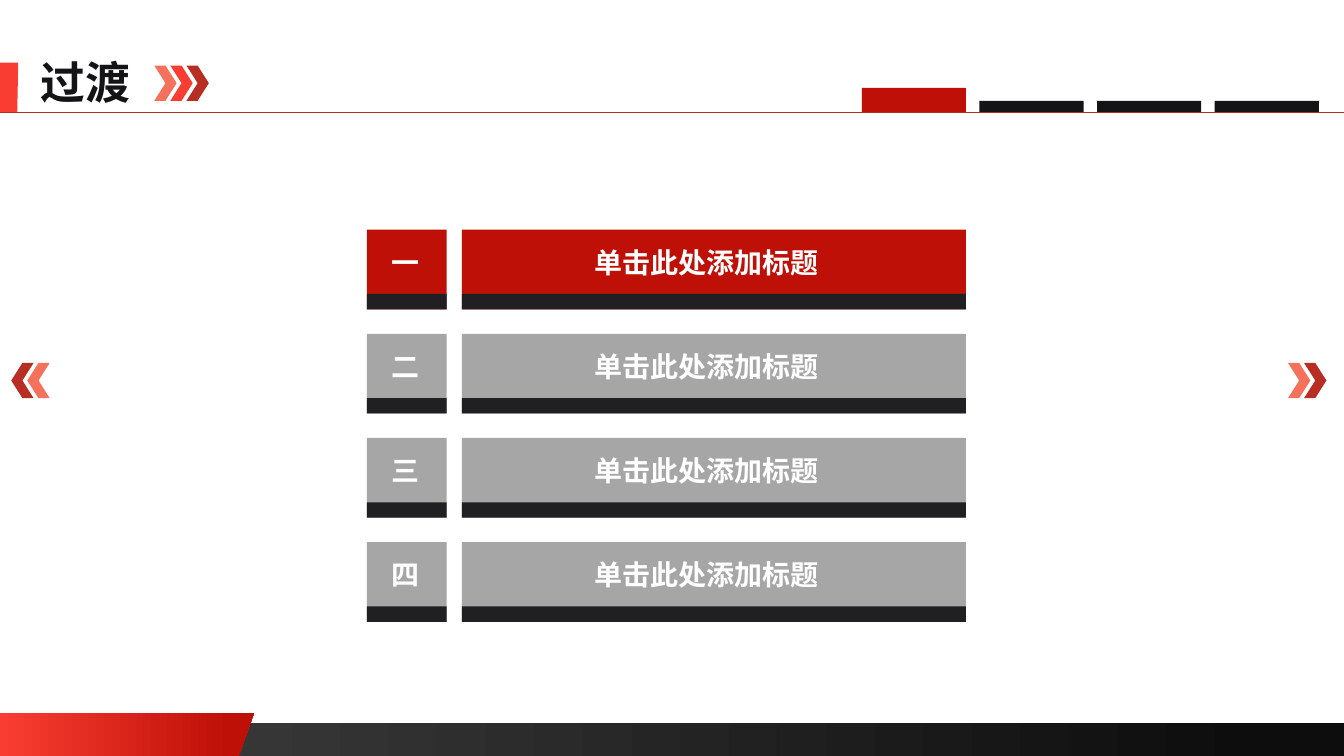
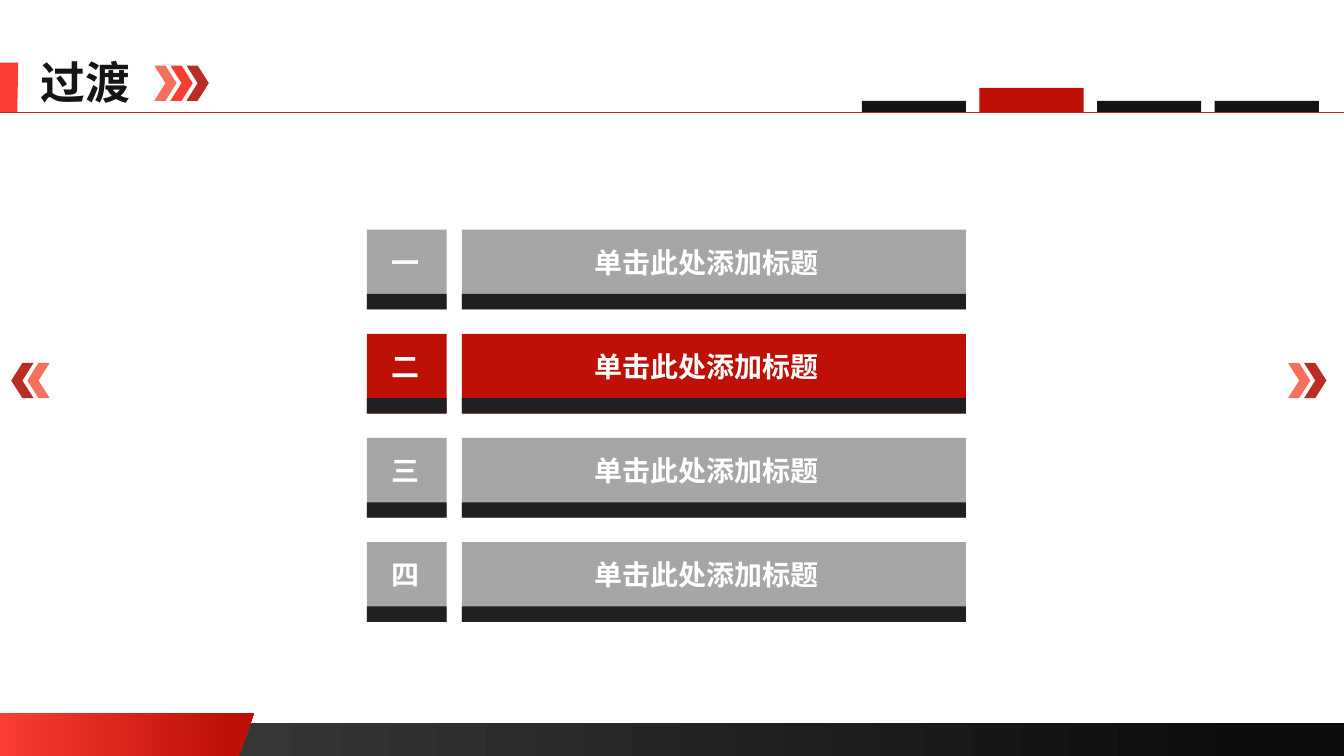
"""Build two agenda transition slides, each highlighting its own section."""
from lxml import etree
from pptx import Presentation
from pptx.dml.color import RGBColor
from pptx.enum.shapes import MSO_CONNECTOR, MSO_SHAPE
from pptx.enum.text import MSO_ANCHOR, PP_ALIGN
from pptx.oxml.ns import qn
from pptx.util import Pt

RECTANGLE, CHEVRON = MSO_SHAPE.RECTANGLE, MSO_SHAPE.CHEVRON
STRAIGHT = MSO_CONNECTOR.STRAIGHT
MIDDLE = MSO_ANCHOR.MIDDLE
LEFT, CENTER = PP_ALIGN.LEFT, PP_ALIGN.CENTER

TITLE = "过渡"
SECTIONS = [
    ("一", "单击此处添加标题"),
    ("二", "单击此处添加标题"),
    ("三", "单击此处添加标题"),
    ("四", "单击此处添加标题"),
]
ACTIVE_SECTIONS = [0, 1]

FONT = "Noto Sans CJK SC"
COLORS = {
    "coral": "F5715B", "bright": "F93D32", "deep": "B82E24", "active": "BE1007",
    "ink": "141316", "base": "202022", "idle": "A6A6A6", "white": "FFFFFF",
    "band_start": "404040", "band_end": "0D0D0D",
}
TITLE_STYLE = {"size": Pt(32), "bold": True, "name": FONT}
CARD_STYLE = {"size": Pt(20), "bold": True, "name": FONT}

WIDTH, HEIGHT = 960, 540
TITLE_BOX = (28.8, 35.3, 76, 46)
RULE_Y = 80
BAND_TOP = 516.5
BAND_STOPS = [(0, "band_start"), (0.94, "band_end")]
RIBBON_POINTS = [(0, 509), (181.5, 509), (170.5, HEIGHT), (0, HEIGHT)]
RIBBON_STOPS = [(0, "bright"), (0.91, "active")]
MARKER_POINTS = [(0, 44.8), (13, 44.8), (12.3, 80.4), (0, 80.4)]

CHEVRON_SIZE, CHEVRON_STEP = (16, 25.2), 11.5
CHEVRON_ROWS = [
    (110.2, 46.8, ["coral", "bright", "deep"], 1),
    (920, 259.2, ["coral", "deep"], 1),
    (19.5, 259.2, ["coral", "deep"], -1),
]

TAB_LEFT, TAB_PITCH, TAB_WIDTH = 615.6, 84, 74.4
TAB_HEIGHT, ACTIVE_TAB_HEIGHT = 8, 17.2
CARD_TOP, CARD_PITCH, CARD_HEIGHT, BASE_HEIGHT = 164, 74.4, 57, 11
CARD_COLUMNS = [(262, 57, 2), (330, 360, 11)]


def color(name):
    return RGBColor.from_string(COLORS[name])


def paint(shape, fill):
    """Fill with one colour name or with a list of gradient stops."""
    shape.shadow.inherit = False
    shape.line.fill.background()
    if isinstance(fill, str):
        shape.fill.solid()
        shape.fill.fore_color.rgb = color(fill)
        return shape
    shape.fill.gradient()
    shape.fill.gradient_angle = 0
    for stop, (position, name) in zip(shape.fill.gradient_stops, fill):
        stop.position = position
        stop.color.rgb = color(name)
    return shape


def add_block(shapes, kind, left, top, width, height, fill):
    block = shapes.add_shape(kind, Pt(left), Pt(top), Pt(width), Pt(height))
    return paint(block, fill)


def add_outline(shapes, points, fill):
    corners = [(Pt(x), Pt(y)) for x, y in points]
    builder = shapes.build_freeform(*corners[0])
    builder.add_line_segments(corners[1:], close=True)
    return paint(builder.convert_to_shape(), fill)


def write(shape, text, style, fill, align, right=0, bottom=0):
    frame = shape.text_frame
    frame.word_wrap = True
    frame.vertical_anchor = MIDDLE
    frame.margin_left = frame.margin_top = 0
    frame.margin_right, frame.margin_bottom = Pt(right), Pt(bottom)
    para = frame.paragraphs[0]
    para.alignment = align
    span = para.add_run()
    span.text = text
    for key, value in style.items():
        setattr(span.font, key, value)
    span.font.color.rgb = color(fill)
    east_asian = etree.SubElement(span.font._element, qn("a:ea"))
    east_asian.set("typeface", style["name"])


def add_chevrons(page, left, top, fills, direction):
    group = page.shapes.add_group_shape()
    for index, fill in enumerate(fills):
        x = left + direction * index * CHEVRON_STEP
        chevron = add_block(group.shapes, CHEVRON, x, top, *CHEVRON_SIZE, fill)
        chevron.rotation = 0 if direction > 0 else 180


def add_frame(page):
    """Draw the footer, title, rule and arrows that every slide shares."""
    shapes = page.shapes
    add_block(shapes, RECTANGLE, 0, BAND_TOP, WIDTH, HEIGHT - BAND_TOP, BAND_STOPS)
    add_outline(shapes, RIBBON_POINTS, RIBBON_STOPS)
    add_outline(shapes, MARKER_POINTS, "bright")
    box = shapes.add_textbox(*map(Pt, TITLE_BOX))
    write(box, TITLE, TITLE_STYLE, "ink", LEFT)
    rule = shapes.add_connector(STRAIGHT, 0, Pt(RULE_Y), Pt(WIDTH), Pt(RULE_Y))
    rule.line.color.rgb = color("deep")
    rule.line.width = Pt(0.5)
    etree.SubElement(rule._element.spPr, qn("a:effectLst"))
    for row in CHEVRON_ROWS:
        add_chevrons(page, *row)


def add_tabs(page, active):
    for index in range(len(SECTIONS)):
        height, fill = TAB_HEIGHT, "ink"
        if index == active:
            height, fill = ACTIVE_TAB_HEIGHT, "active"
        add_block(page.shapes, RECTANGLE, TAB_LEFT + index * TAB_PITCH,
                  RULE_Y - height, TAB_WIDTH, height, fill)


def add_cards(page, active):
    for index, texts in enumerate(SECTIONS):
        group = page.shapes.add_group_shape()
        top = CARD_TOP + index * CARD_PITCH
        base_top = top + CARD_HEIGHT - BASE_HEIGHT
        fill = "active" if index == active else "idle"
        for text, (left, width, inset) in zip(texts, CARD_COLUMNS):
            card = add_block(group.shapes, RECTANGLE, left, top, width, CARD_HEIGHT, fill)
            write(card, text, CARD_STYLE, "white", CENTER, inset, BASE_HEIGHT)
            add_block(group.shapes, RECTANGLE, left, base_top, width, BASE_HEIGHT, "base")


def main():
    deck = Presentation()
    deck.slide_width, deck.slide_height = Pt(WIDTH), Pt(HEIGHT)
    for active in ACTIVE_SECTIONS:
        page = deck.slides.add_slide(deck.slide_layouts[6])
        add_frame(page)
        add_tabs(page, active)
        add_cards(page, active)
    deck.save("out.pptx")


if __name__ == "__main__":
    main()
